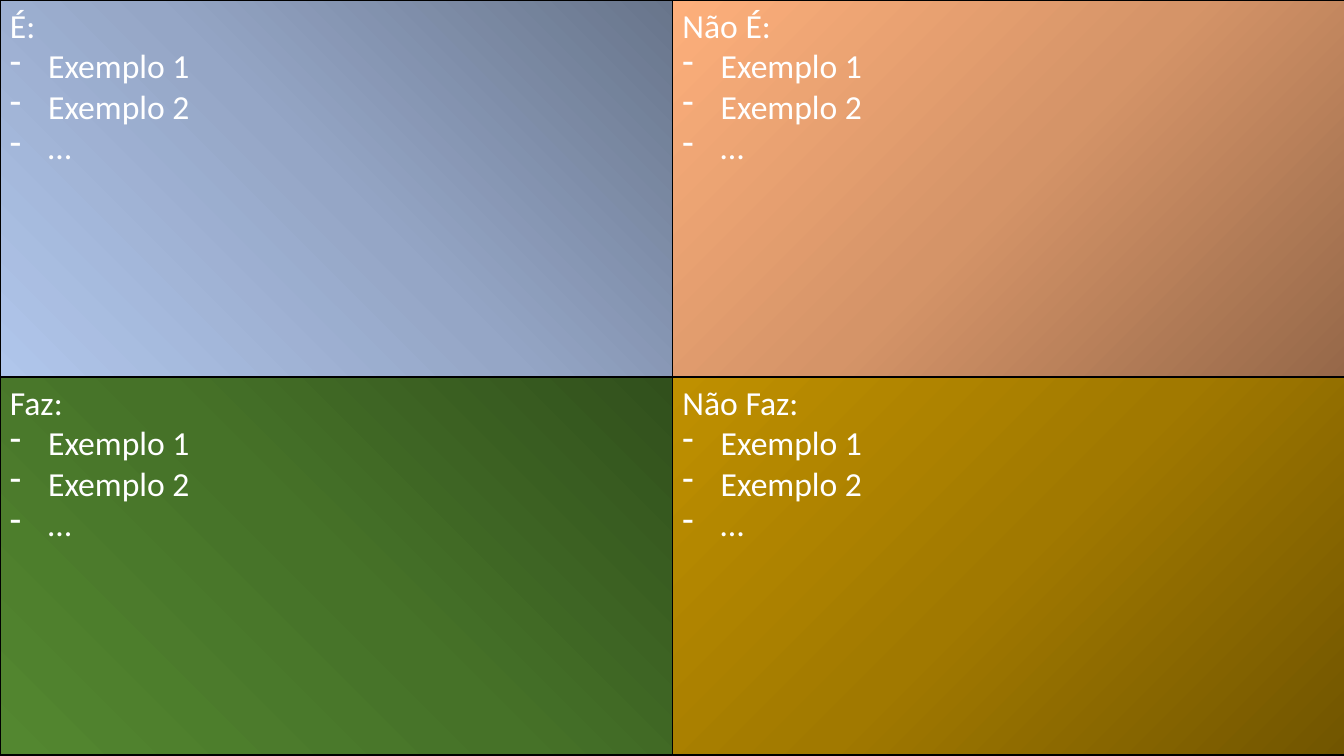
from itertools import product

from pptx import Presentation
from pptx.dml.color import RGBColor
from pptx.enum.shapes import MSO_SHAPE
from pptx.enum.text import MSO_ANCHOR, PP_ALIGN
from pptx.oxml import parse_xml
from pptx.oxml.ns import nsdecls, qn
from pptx.util import Inches, Pt

WHITE = RGBColor(0xFF, 0xFF, 0xFF)
BLACK = RGBColor(0x00, 0x00, 0x00)
# Dark, middle and light stop of each quadrant's gradient
BLUES = [RGBColor(0x68, 0x75, 0x8B), RGBColor(0x95, 0xA6, 0xC6), RGBColor(0xB0, 0xC6, 0xEB)]
ORANGES = [RGBColor(0x96, 0x68, 0x49), RGBColor(0xD5, 0x94, 0x68), RGBColor(0xFD, 0xAF, 0x7B)]
GREENS = [RGBColor(0x31, 0x50, 0x1C), RGBColor(0x46, 0x72, 0x28), RGBColor(0x53, 0x87, 0x30)]
GOLDS = [RGBColor(0x71, 0x55, 0x00), RGBColor(0xA1, 0x79, 0x00), RGBColor(0xBF, 0x90, 0x00)]

DIAGONAL = '<a:lin ang="8100000" scaled="1"/>'
FROM_CORNER = '<a:path path="circle"><a:fillToRect l="100000" t="100000"/></a:path>'

EXAMPLES = ["Exemplo 1", "Exemplo 2", "…"]
QUADRANTS = [
    ("É:", BLUES, DIAGONAL),
    ("Não É:", ORANGES, FROM_CORNER),
    ("Faz:", GREENS, DIAGONAL),
    ("Não Faz:", GOLDS, FROM_CORNER),
]
WIDTH, HEIGHT = 6.67, 3.75
ROW_STEP = 3.74
TEXT_FORMAT = {"name": "Calibri", "size": Pt(24)}


def fill_gradient(shape, colors, direction):
    """Fill with three evenly spaced stops, which python-pptx cannot add itself."""
    stops = "".join(
        f'<a:gs pos="{i * 50000}"><a:srgbClr val="{color}"/></a:gs>'
        for i, color in enumerate(colors)
    )
    shape.fill.gradient()
    properties = shape.element.spPr
    gradient = parse_xml(
        f'<a:gradFill {nsdecls("a")} rotWithShape="1">'
        f"<a:gsLst>{stops}</a:gsLst>{direction}</a:gradFill>"
    )
    properties.replace(properties.find(qn("a:gradFill")), gradient)


def add_dash(paragraph):
    properties = paragraph._p.get_or_add_pPr()
    properties.set("marL", str(Inches(0.38)))
    properties.set("indent", str(-Inches(0.38)))
    for bullet in ('buFontTx {}', 'buChar {} char="-"'):
        properties.append(parse_xml(f'<a:{bullet.format(nsdecls("a"))}/>'))


def write_line(paragraph, text):
    paragraph.alignment = PP_ALIGN.LEFT
    run = paragraph.add_run()
    run.text = text
    for attribute, value in TEXT_FORMAT.items():
        setattr(run.font, attribute, value)
    run.font.color.rgb = WHITE


def add_quadrant(slide, left, top, heading, colors, direction):
    quadrant = slide.shapes.add_shape(
        MSO_SHAPE.RECTANGLE, Inches(left), Inches(top), Inches(WIDTH), Inches(HEIGHT)
    )
    quadrant.shadow.inherit = False
    fill_gradient(quadrant, colors, direction)
    quadrant.line.color.rgb = BLACK
    quadrant.line.width = Pt(1)

    frame = quadrant.text_frame
    frame.word_wrap = True
    frame.vertical_anchor = MSO_ANCHOR.TOP
    write_line(frame.paragraphs[0], heading)
    for example in EXAMPLES:
        item = frame.add_paragraph()
        add_dash(item)
        write_line(item, example)


def main():
    presentation = Presentation()
    presentation.slide_width = Inches(13.33)
    presentation.slide_height = Inches(7.5)
    slide = presentation.slides.add_slide(presentation.slide_layouts[6])
    for (row, column), quadrant in zip(product(range(2), repeat=2), QUADRANTS):
        add_quadrant(slide, column * WIDTH, row * ROW_STEP, *quadrant)
    presentation.save("out.pptx")


if __name__ == "__main__":
    main()
